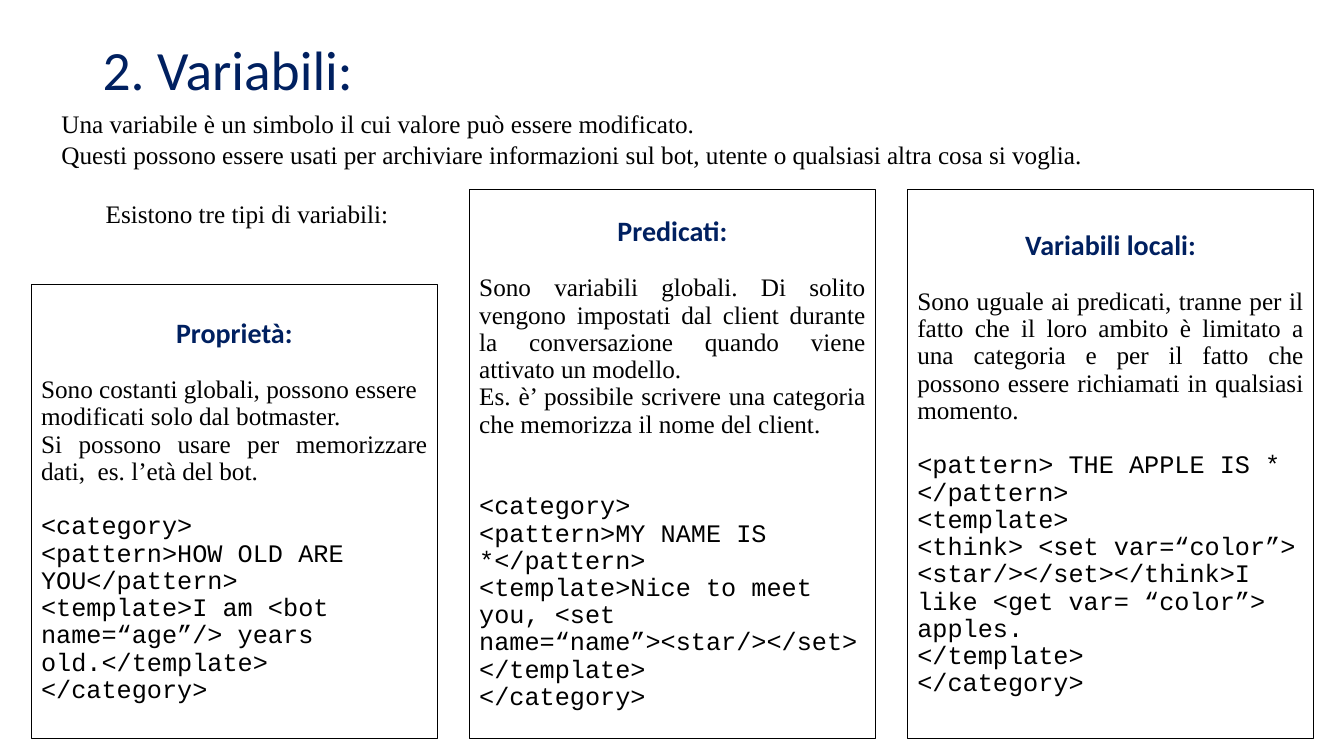
from pptx import Presentation
from pptx.dml.color import RGBColor
from pptx.enum.shapes import MSO_SHAPE
from pptx.enum.text import MSO_ANCHOR, PP_ALIGN
from pptx.util import Inches, Pt

RECTANGLE = MSO_SHAPE.RECTANGLE
MIDDLE, TOP = MSO_ANCHOR.MIDDLE, MSO_ANCHOR.TOP
LEFT, CENTER, JUSTIFY = PP_ALIGN.LEFT, PP_ALIGN.CENTER, PP_ALIGN.JUSTIFY

NAVY = RGBColor(0x00, 0x20, 0x60)
BLACK = RGBColor(0x00, 0x00, 0x00)

SLIDE_WIDTH, SLIDE_HEIGHT = 13.33, 7.5
CARD_LEFT, CARD_PITCH, CARD_WIDTH = 0.31, 4.345, 4.03
CARD_BOTTOM = 7.33
LINE_GAP = 19.5

TITLE = {"name": "Calibri", "size": Pt(39.6), "bold": False}
HEADING = {"name": "Calibri", "size": Pt(20), "bold": True}
BODY = {"name": "Times New Roman", "size": Pt(18), "bold": False}
CODE = {"name": "Courier New", "size": Pt(18), "bold": False}

INTRO = [
    "Una variabile è un simbolo il cui valore può essere modificato.",
    "Questi possono essere usati per archiviare informazioni sul bot, utente o qualsiasi altra cosa si voglia.",
]
KINDS_LINE = "Esistono tre tipi di variabili:"

CARDS = [
    {
        "top": 2.82,
        "heading": "Proprietà:",
        "body": [
            (LEFT, "Sono costanti globali, possono essere modificati solo dal botmaster."),
            (JUSTIFY, "Si possono usare per memorizzare dati,  es. l’età del bot."),
        ],
        "code_gap": 1,
        "code": [
            "<category>",
            "<pattern>HOW OLD ARE YOU</pattern>",
            "<template>I am <bot name=“age”/> years old.</template>",
            "</category>",
        ],
    },
    {
        "top": 1.88,
        "heading": "Predicati:",
        "body": [
            (JUSTIFY, "Sono variabili globali. Di solito vengono impostati dal client durante "
                      "la conversazione quando viene attivato un modello."),
            (JUSTIFY, "Es. è’ possibile scrivere una categoria che memorizza il nome del client."),
        ],
        "code_gap": 2,
        "code": [
            "<category>",
            "<pattern>MY NAME IS *</pattern>",
            "<template>Nice to meet you, <set name=“name”><star/></set>",
            "</template>",
            "</category>",
        ],
    },
    {
        "top": 1.88,
        "heading": "Variabili locali:",
        "body": [
            (JUSTIFY, "Sono uguale ai predicati, tranne per il fatto che il loro ambito è "
                      "limitato a una categoria e per il fatto che possono essere "
                      "richiamati in qualsiasi momento."),
        ],
        "code_gap": 1,
        "code": [
            "<pattern> THE APPLE IS * </pattern>",
            "<template>",
            "<think> <set var=“color”> <star/></set></think>I like <get var= “color”> apples.",
            "</template>",
            "</category>",
        ],
    },
]


def write_paragraphs(frame, rows, anchor, line_spacing):
    frame.word_wrap = True
    frame.vertical_anchor = anchor
    for index, (text, style, color, align, gap) in enumerate(rows):
        para = frame.paragraphs[0] if index == 0 else frame.add_paragraph()
        layout = {"alignment": align, "line_spacing": line_spacing, "space_before": Pt(gap)}
        for key, value in layout.items():
            setattr(para, key, value)
        span = para.add_run()
        span.text = text
        for key, value in style.items():
            setattr(span.font, key, value)
        span.font.color.rgb = color


def add_text(page, box, rows, anchor=TOP, line_spacing=1.0):
    area = page.shapes.add_textbox(*map(Inches, box))
    write_paragraphs(area.text_frame, rows, anchor, line_spacing)


def add_header(page, box):
    left, top, width, height = box
    add_text(page, (left + 0.41, top, 3.7, 0.63),
             [("2. Variabili:", TITLE, NAVY, LEFT, 0)], MIDDLE, 0.9)
    add_text(page, (left, top + 0.63, width, 0.75),
             [(text, BODY, BLACK, LEFT, 0) for text in INTRO])
    add_text(page, (left + 0.44, top + height - 0.42, 3.4, 0.42),
             [(KINDS_LINE, BODY, BLACK, LEFT, 0)])


def add_card(page, box, card):
    panel = page.shapes.add_shape(RECTANGLE, *map(Inches, box))
    panel.shadow.inherit = False
    panel.fill.background()
    panel.line.color.rgb = BLACK
    panel.line.width = Pt(0.75)
    rows = [(card["heading"], HEADING, NAVY, CENTER, 0)]
    for index, (align, text) in enumerate(card["body"]):
        rows.append((text, BODY, BLACK, align, 0 if index else LINE_GAP))
    for index, text in enumerate(card["code"]):
        rows.append((text, CODE, BLACK, LEFT, 0 if index else LINE_GAP * card["code_gap"]))
    write_paragraphs(panel.text_frame, rows, MIDDLE, 0.9)


def main():
    deck = Presentation()
    deck.slide_width = Inches(SLIDE_WIDTH)
    deck.slide_height = Inches(SLIDE_HEIGHT)
    page = deck.slides.add_slide(deck.slide_layouts[6])
    add_header(page, (0.51, 0.4, 11.91, 1.94))
    for column, card in enumerate(CARDS):
        left = CARD_LEFT + column * CARD_PITCH
        add_card(page, (left, card["top"], CARD_WIDTH, CARD_BOTTOM - card["top"]), card)
    deck.save("out.pptx")


if __name__ == "__main__":
    main()
